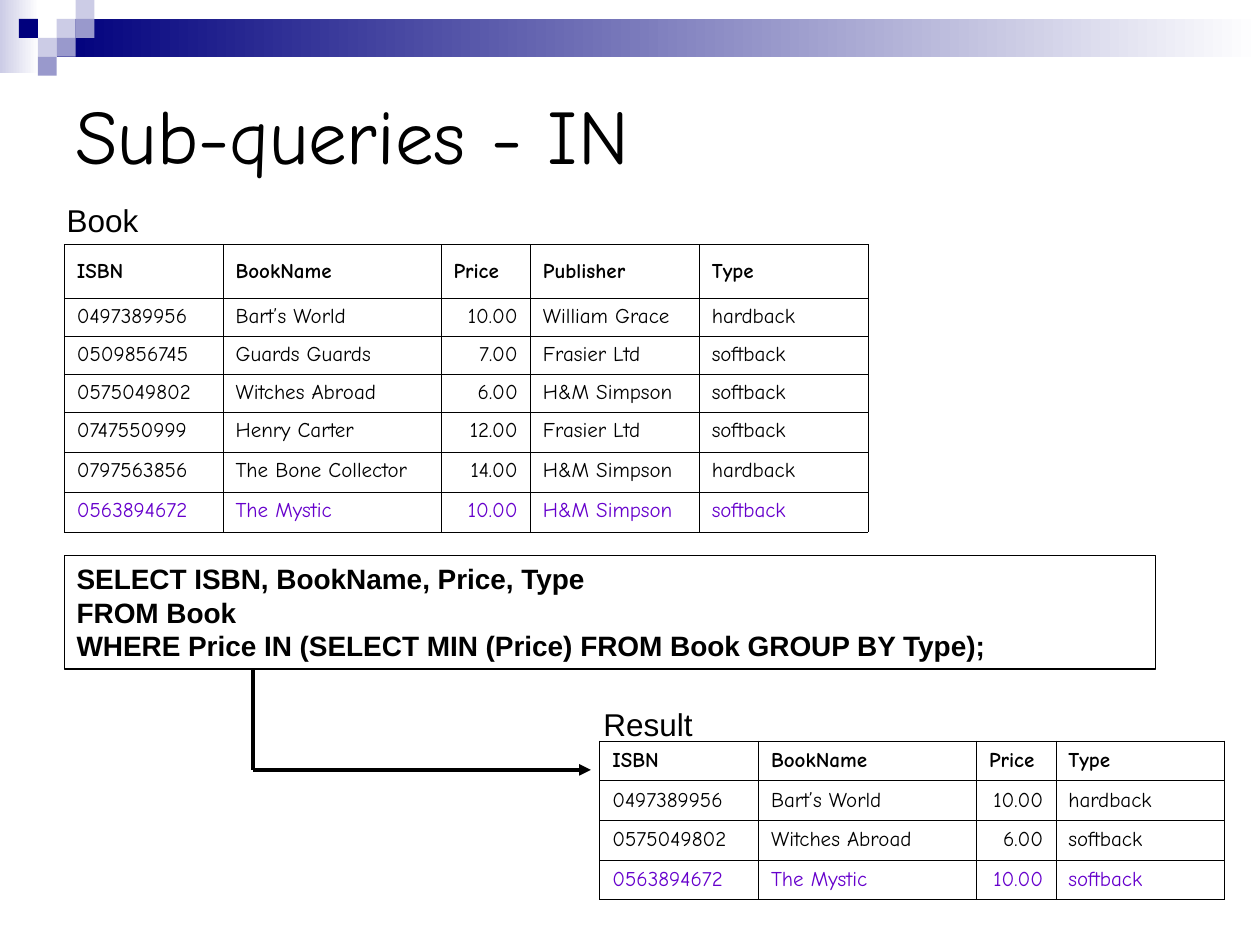
import pptx
import pptx.util
import pptx.dml.color
import pptx.enum.shapes
import pptx.enum.text
import pptx.oxml
import pptx.oxml.ns

Inches = pptx.util.Inches
Pt = pptx.util.Pt
ALIGN = pptx.enum.text.PP_ALIGN
ANCHOR = pptx.enum.text.MSO_ANCHOR

COLORS = {
    "navy": "00007D",
    "lavender": "CCCCE6",
    "periwinkle": "9999CC",
    "white": "FFFFFF",
    "black": "000000",
    "highlight": "6600CC",
}
TABLE_FONT = {"name": "Comic Neue", "size": Pt(12)}
LABEL_FONT = {"name": "Arial", "size": Pt(18)}
SQL_FONT = {"name": "Arial", "size": Pt(16), "bold": True}
TITLE_FONT = {"name": "Comic Neue", "size": Pt(44)}

TILE = 0.15
TILES = [
    (2, 1, "lavender"), (3, 0, "lavender"), (3, 1, "periwinkle"),
    (1, 2, "lavender"), (0, 1, "navy"), (2, 2, "periwinkle"), (1, 3, "periwinkle"),
]
BOOKS = [
    ["ISBN", "BookName", "Price", "Publisher", "Type"],
    ["0497389956", "Bart’s World", "10.00", "William Grace", "hardback"],
    ["0509856745", "Guards Guards", "7.00", "Frasier Ltd", "softback"],
    ["0575049802", "Witches Abroad", "6.00", "H&M Simpson", "softback"],
    ["0747550999", "Henry Carter", "12.00", "Frasier Ltd", "softback"],
    ["0797563856", "The Bone Collector", "14.00", "H&M Simpson", "hardback"],
    ["0563894672", "The Mystic", "10.00", "H&M Simpson", "softback"],
]
PUBLISHER_COLUMN = 3
RESULT = [
    row[:PUBLISHER_COLUMN] + row[PUBLISHER_COLUMN + 1:]
    for row in (BOOKS[0], BOOKS[1], BOOKS[3], BOOKS[6])
]
QUERY = [
    "SELECT ISBN, BookName, Price, Type",
    "FROM Book",
    "WHERE Price IN (SELECT MIN (Price) FROM Book GROUP BY Type);",
]


def rgb(color):
    return pptx.dml.color.RGBColor.from_string(COLORS[color])


def set_format(target, values):
    for name, value in values.items():
        setattr(target, name, value)


def write_lines(frame, lines, font, color="black"):
    for index, line in enumerate(lines):
        paragraph = frame.paragraphs[0] if index == 0 else frame.add_paragraph()
        paragraph.alignment = ALIGN.LEFT
        run = paragraph.add_run()
        run.text = line
        set_format(run.font, font)
        run.font.color.rgb = rgb(color)


def add_block(slide, left, top, width, height, start, end=None):
    shape = slide.shapes.add_shape(
        pptx.enum.shapes.MSO_SHAPE.RECTANGLE,
        Inches(left), Inches(top), Inches(width), Inches(height))
    shape.shadow.inherit = False
    shape.line.fill.background()
    if end is None:
        shape.fill.solid()
        shape.fill.fore_color.rgb = rgb(start)
    else:
        shape.fill.gradient()
        shape.fill.gradient_angle = 0
        for stop, color in zip(shape.fill.gradient_stops, (start, end)):
            stop.color.rgb = rgb(color)


def add_banner(slide, left, top, width):
    add_block(slide, left, top, 0.31, 0.58, "lavender", "white")
    add_block(slide, left + 0.45, top + TILE, width - 0.45, 2 * TILE, "navy", "white")
    for column, row, color in TILES:
        add_block(slide, left + (column + 1) * TILE, top + row * TILE, TILE, TILE, color)


def add_text(slide, left, top, width, height, text, font, anchor=ANCHOR.TOP):
    box = slide.shapes.add_textbox(Inches(left), Inches(top), Inches(width), Inches(height))
    set_format(box.text_frame, {"word_wrap": True, "vertical_anchor": anchor})
    write_lines(box.text_frame, [text], font)


def add_query(slide, left, top, width, height):
    shape = slide.shapes.add_shape(
        pptx.enum.shapes.MSO_SHAPE.RECTANGLE,
        Inches(left), Inches(top), Inches(width), Inches(height))
    shape.shadow.inherit = False
    shape.fill.background()
    shape.line.color.rgb = rgb("black")
    shape.line.width = Pt(0.75)
    set_format(shape.text_frame, {"word_wrap": True, "vertical_anchor": ANCHOR.TOP})
    write_lines(shape.text_frame, QUERY, SQL_FONT)


def add_borders(cell):
    properties = cell._tc.get_or_add_tcPr()
    for side in ("lnL", "lnR", "lnT", "lnB"):
        properties.append(pptx.oxml.parse_xml(
            f'<a:{side} {pptx.oxml.ns.nsdecls("a")} w="{Pt(0.34)}">'
            f'<a:solidFill><a:srgbClr val="{COLORS["black"]}"/></a:solidFill></a:{side}>'))


def add_data_table(slide, left, top, widths, heights, rows, body_anchor):
    frame = slide.shapes.add_table(
        len(rows), len(widths), Inches(left), Inches(top),
        Inches(sum(widths)), Inches(sum(heights)))
    table = frame.table
    set_format(table, {"first_row": False, "horz_banding": False})
    for column, width in zip(table.columns, widths):
        column.width = Inches(width)
    price_column = rows[0].index("Price")
    for row_index, values in enumerate(rows):
        table.rows[row_index].height = Inches(heights[row_index])
        header = row_index == 0
        color = "highlight" if values[1] == "The Mystic" else "black"
        for column_index, value in enumerate(values):
            cell = table.cell(row_index, column_index)
            add_borders(cell)
            cell.vertical_anchor = ANCHOR.MIDDLE if header else body_anchor
            write_lines(cell.text_frame, [value], {**TABLE_FONT, "bold": header}, color)
            if header:
                cell.fill.background()
            else:
                cell.fill.solid()
                cell.fill.fore_color.rgb = rgb("white")
                if column_index == price_column:
                    cell.text_frame.paragraphs[0].alignment = ALIGN.RIGHT


def add_line(slide, start, end, arrow=False):
    connector = slide.shapes.add_connector(
        pptx.enum.shapes.MSO_CONNECTOR.STRAIGHT,
        *(Inches(value) for value in start + end))
    connector.line.color.rgb = rgb("black")
    connector.line.width = Pt(2.25)
    namespace = pptx.oxml.ns.nsdecls("a")
    if arrow:
        connector.line._get_or_add_ln().append(
            pptx.oxml.parse_xml(f'<a:tailEnd {namespace} type="triangle"/>'))
    connector._element.spPr.append(pptx.oxml.parse_xml(f"<a:effectLst {namespace}/>"))


def add_elbow(slide, left, top, width, height):
    corner = (left, top + height)
    add_line(slide, corner, (left + width, top + height), arrow=True)
    add_line(slide, corner, (left, top))


def main():
    presentation = pptx.Presentation()
    set_format(presentation, {"slide_width": Inches(10), "slide_height": Inches(7.5)})
    slide = presentation.slides.add_slide(presentation.slide_layouts[6])
    add_banner(slide, 0, 0, 10)
    add_text(slide, 0.5, 0.5, 9, 1.12, "Sub-queries - IN", TITLE_FONT, ANCHOR.MIDDLE)
    add_query(slide, 0.51, 4.41, 8.66, 0.9)
    add_text(slide, 0.43, 1.55, 2.91, 0.4, "Book", LABEL_FONT)
    add_text(slide, 4.69, 5.55, 1.18, 0.4, "Result", LABEL_FONT)
    add_data_table(slide, 0.51, 1.94, [1.26, 1.73, 0.71, 1.34, 1.34],
                   [0.43, 0.3, 0.3, 0.3, 0.32, 0.32, 0.31], BOOKS, ANCHOR.TOP)
    add_data_table(slide, 4.76, 5.88, [1.26, 1.73, 0.63, 1.34],
                   [1.26 / len(RESULT)] * len(RESULT), RESULT, ANCHOR.MIDDLE)
    add_elbow(slide, 2.01, 5.32, 2.68, 0.79)
    presentation.save("out.pptx")


if __name__ == "__main__":
    main()
